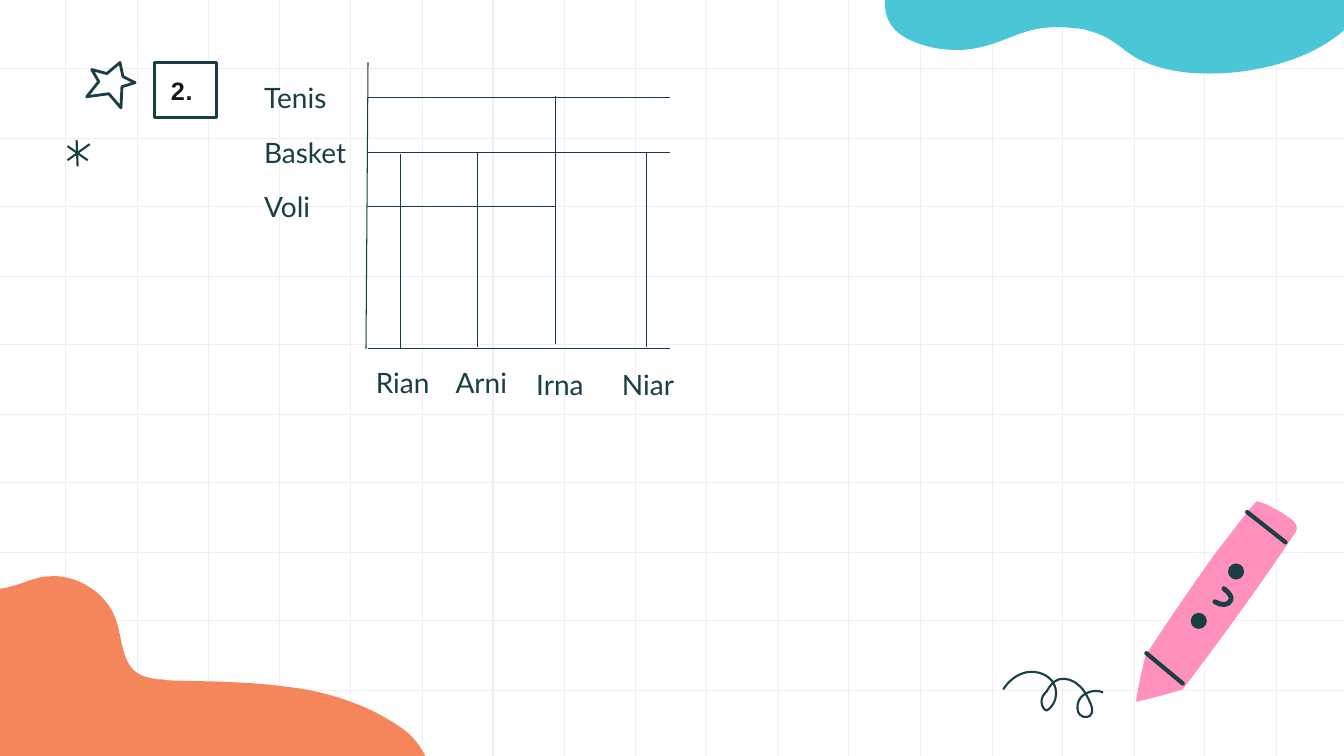
import pptx
import pptx.util
import pptx.dml.color
import pptx.enum.shapes
import pptx.enum.text
import pptx.oxml.ns
import lxml.etree

PX = 9144
INK = "193E43"
AXIS = "173D43"


def paint(fmt, color):
    """Give a fill or font colour from a hex string."""
    fmt.rgb = pptx.dml.color.RGBColor.from_string(color)


def fill(shape, color):
    """Fill a shape solid, or leave it empty."""
    if color:
        shape.fill.solid()
        paint(shape.fill.fore_color, color)
    else:
        shape.fill.background()


def stroke(shape, color, width):
    """Set an outline, round-ended when thick, or none."""
    if color:
        paint(shape.line.color, color)
        shape.line.width = pptx.util.Pt(width)
        if width >= 3:
            shape.line._get_or_add_ln().set("cap", "rnd")
    else:
        shape.line.fill.background()


def rule(slide, x, y, ends, color, width=0.75):
    """Draw a straight line between two points offset by x, y."""
    a, b, c, d = ends
    kind = pptx.enum.shapes.MSO_CONNECTOR.STRAIGHT
    line = slide.shapes.add_connector(
        kind, (x + a) * PX, (y + b) * PX, (x + c) * PX, (y + d) * PX)
    stroke(line, color, width)
    props = line._element.spPr
    lxml.etree.SubElement(props, pptx.oxml.ns.qn("a:effectLst"))


def outline(slide, x, y, text, body=None, pen=None, width=1.5, close=True):
    """Draw a freeform through x y pairs offset by x, y."""
    nums = [int(n) for n in text.split()]
    spots = [(x + a, y + b) for a, b in zip(nums[::2], nums[1::2])]
    maker = slide.shapes.build_freeform(*spots[0], scale=PX)
    maker.add_line_segments(spots[1:], close=close)
    shape = maker.convert_to_shape()
    shape.shadow.inherit = False
    fill(shape, body)
    stroke(shape, pen, width)
    return shape


def bend(shape):
    """Turn each three line steps of a freeform into one cubic curve."""
    name = pptx.oxml.ns.qn
    steps = list(shape._element.iter(name("a:lnTo")))
    for i in range(0, len(steps), 3):
        cubic = lxml.etree.Element(name("a:cubicBezTo"))
        steps[i].addprevious(cubic)
        for step in steps[i:i + 3]:
            cubic.append(step[0])
            step.getparent().remove(step)


def label(slide, x, y, w, h, text):
    """Add a Lato label with its text in the middle of the height."""
    box = slide.shapes.add_textbox(x * PX, y * PX, w * PX, h * PX)
    frame = box.text_frame
    frame.word_wrap = True
    frame.vertical_anchor = pptx.enum.text.MSO_ANCHOR.MIDDLE
    frame.margin_left = frame.margin_right = 10 * PX
    frame.margin_top = frame.margin_bottom = 10 * PX
    run = frame.paragraphs[0].add_run()
    run.text = text
    run.font.size = pptx.util.Pt(20)
    run.font.name = "Lato"
    paint(run.font.color, INK)


def grid(slide, x, y, w, h):
    """Rule the page like squared paper."""
    for i in range(18):
        col = round((6540 + 7063 * i) / 100)
        rule(slide, x, y, (col, 0, col, h), "EFEFEF")
    for i in range(1, 11):
        row = 685 * i // 10
        rule(slide, x, y, (0, row, w, row), "EFEFEF")


def crayon(slide, x, y):
    """Draw the smiling pink crayon."""
    bend(outline(slide, x, y, """149 98 148 97 147 97 146 98
        143 99 116 136 106 148 82 182 58 216 36 251 36 251 26 293 27 296
        39 294 73 284 73 284 111 234 148 183 183 131 185 128 187 125 186 122
        186 120 184 118 182 116 170 107 155 99 149 98""", "FF91BC"))
    for band in ((137, 108, 175, 138), (37, 248, 73, 278)):
        rule(slide, x, y, band, INK, 3)
    for a, b in ((81, 208), (118, 159)):
        eye = slide.shapes.add_shape(
            pptx.enum.shapes.MSO_SHAPE.OVAL,
            (x + a) * PX, (y + b) * PX, 16 * PX, 16 * PX)
        eye.shadow.inherit = False
        fill(eye, INK)
        stroke(eye, None, 0)
    smile = "114 184 119 188 122 192 121 195 119 201 111 201 105 197"
    bend(outline(slide, x, y, smile, None, INK, 3.5, False))


def loops(slide, x, y):
    """Draw the looping pen trail."""
    bend(outline(slide, x, y, """95 84 100 76 108 69 118 67
        128 65 140 69 145 78 150 87 147 100 138 105
        135 104 133 100 133 96 133 92 135 89 138 86
        141 81 144 76 150 74 157 72 165 75 170 80 176 85 179 92 182 99
        183 102 184 104 183 107 182 112 175 113 171 109
        168 106 168 100 170 95 174 87 186 83 194 87""", None, INK, 1.5, False))


def doodles(slide, x, y):
    """Draw the small cross of strokes and the star."""
    for ends in ((7, 95, 27, 109), (7, 109, 29, 93), (16, 89, 17, 115)):
        rule(slide, x, y, ends, INK, 1.5)
    outline(slide, x, y, """74 32 61 36 60 57 48 43 26 46
        38 31 31 19 46 23 59 12 62 26""", None, INK, 2)


def lagoon(slide, x, y):
    """Draw the blue blob at the top."""
    bend(outline(slide, x, y, """573 78 498 88 420 87 343 87
        255 87 168 87 80 86 77 101 75 116 88 130
        97 139 116 147 137 149 147 150 157 150 167 148
        190 144 205 134 227 129 239 127 252 126 264 128
        270 128 276 129 281 131 305 137 313 151 332 160
        344 166 360 170 377 172 399 174 423 173 444 169
        483 162 512 148 532 131 551 115 561 97 570 79""", "4BC6D6"))


def dune(slide, x, y):
    """Draw the orange blob at the bottom."""
    bend(outline(slide, x, y, """210 52 200 51 190 52 180 56
        162 63 147 83 150 103 152 115 159 128 154 139
        149 149 136 151 124 150 123 150 122 149 121 149
        115 148 109 147 102 146 96 145 90 146 84 148
        67 156 65 180 74 196 84 212 102 220 119 228
        251 284 395 306 539 321 566 324 593 327 620 329
        639 331 659 333 679 329 698 325 717 313 725 295
        736 271 721 240 702 225 671 202 634 189 597 183
        589 182 582 181 574 180 538 176 502 176 466 175
        463 174 460 174 457 174 449 173 440 171 434 166
        421 155 421 134 416 118 409 93 385 75 360 72
        354 71 349 72 344 72 327 75 311 85 294 84
        293 84 291 84 290 84 272 82 256 69 239 61
        230 56 220 53 210 52""", "F5865B"))


def number(slide, x, y, w, h):
    """Add the framed question number."""
    box = slide.shapes.add_shape(
        pptx.enum.shapes.MSO_SHAPE.RECTANGLE, x * PX, y * PX, w * PX, h * PX)
    box.shadow.inherit = False
    fill(box, "FFFFFF")
    stroke(box, INK, 2)
    frame = box.text_frame
    frame.vertical_anchor = pptx.enum.text.MSO_ANCHOR.MIDDLE
    para = frame.paragraphs[0]
    para.alignment = pptx.enum.text.PP_ALIGN.CENTER
    run = para.add_run()
    run.text = "2. "
    run.font.size = pptx.util.Pt(18)
    run.font.name = "Arial"
    run.font.bold = True
    paint(run.font.color, "181818")
    run._r.get_or_add_rPr().set("spc", "50")


def graph(slide, x, y):
    """Draw the sports and names graph with its labels."""
    for i, sport in enumerate(("Tenis", "Basket", "Voli")):
        label(slide, x, y + 54 * i, 395, 70, sport)
    rule(slide, x, y, (113, 0, 111, 284), AXIS)
    for row, end in ((284, 413), (35, 413), (89, 413), (143, 299)):
        rule(slide, x, y, (113, row, end, row), AXIS)
    people = (("Rian", 111, 282, 145, 91, 284), ("Arni", 190, 282, 222, 89, 282),
              ("Irna", 270, 284, 299, 33, 279), ("Niar", 355, 284, 389, 89, 282))
    for name, left, top, col, start, end in people:
        label(slide, x + left, y + top, 114, 70, name)
        rule(slide, x, y, (col, start, col, end), AXIS)


def main():
    """Build the slide and save it."""
    deck = pptx.Presentation()
    deck.slide_width, deck.slide_height = 1333 * PX, 750 * PX
    slide = deck.slides.add_slide(deck.slide_layouts[6])
    grid(slide, 0, 0, 1333, 750)
    crayon(slide, 1100, 400)
    loops(slide, 900, 600)
    doodles(slide, 60, 50)
    lagoon(slide, 800, -100)
    dune(slide, -300, 500)
    number(slide, 153, 62, 62, 55)
    graph(slide, 252, 62)
    deck.save("out.pptx")


if __name__ == "__main__":
    main()
